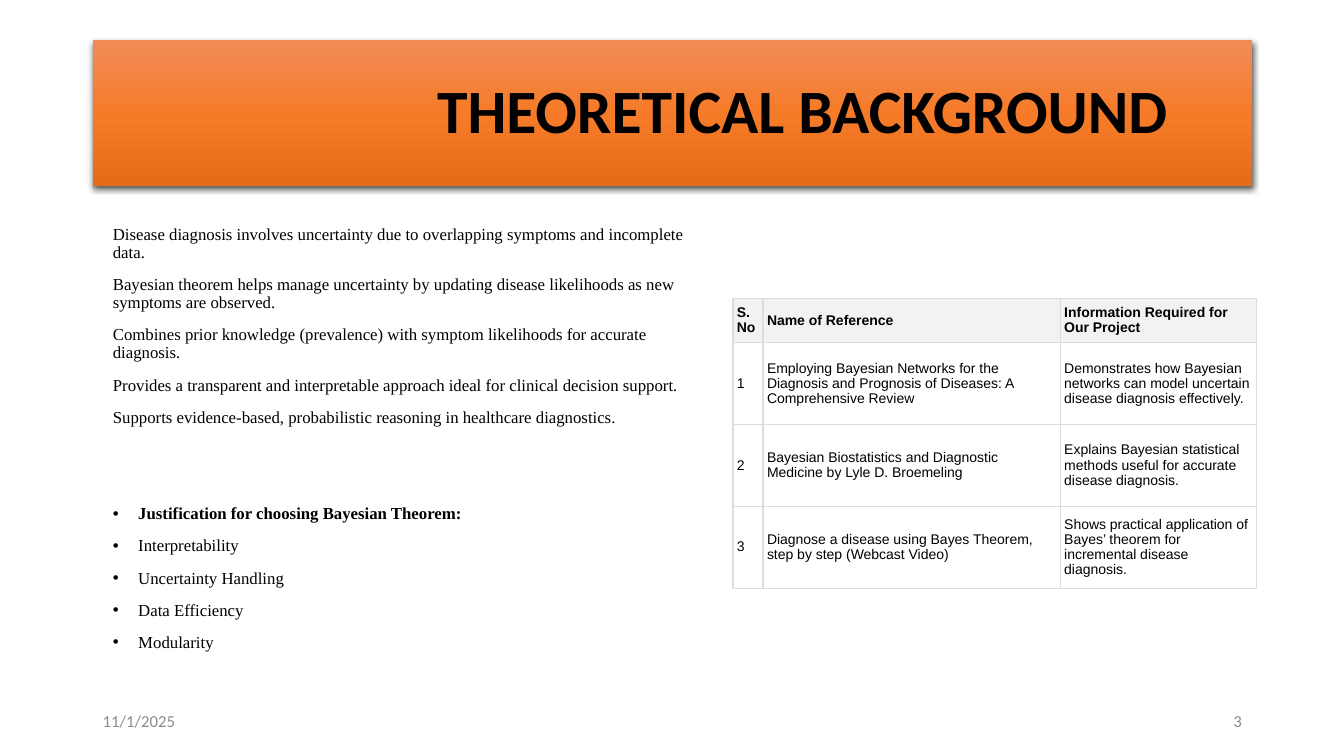
from dataclasses import dataclass

from lxml import etree
from pptx import Presentation
from pptx.dml.color import RGBColor
from pptx.enum.text import MSO_ANCHOR, MSO_AUTO_SIZE, PP_ALIGN
from pptx.oxml import parse_xml
from pptx.oxml.ns import nsdecls, qn
from pptx.util import Cm, Pt

LEFT, RIGHT = PP_ALIGN.LEFT, PP_ALIGN.RIGHT
MIDDLE, TOP = MSO_ANCHOR.MIDDLE, MSO_ANCHOR.TOP
NO_AUTOFIT = MSO_AUTO_SIZE.NONE
BLACK, GREY, HEADER_FILL, BORDER = "000000", "8C8C8C", "F2F2F2", "DDDDDD"
BANNER_STOPS = ((0, "F18C57"), (50, "F67B28"), (100, "E56C19"))


@dataclass(frozen=True)
class Box:
    left: float
    top: float
    width: float
    height: float

    def lengths(self):
        return Cm(self.left), Cm(self.top), Cm(self.width), Cm(self.height)


@dataclass(frozen=True)
class FooterItem:
    text: str
    left: float
    align: PP_ALIGN


TITLE_BOX = Box(2.34, 1.02, 29.21, 3.68)
BODY_BOX = Box(2.59, 5.56, 14.99, 12.09)
TABLE_BOX = Box(18.47, 7.52, 13.2, 7.3)

STATEMENTS = (
    "Disease diagnosis involves uncertainty due to overlapping symptoms and incomplete data.",
    "Bayesian theorem helps manage uncertainty by updating disease likelihoods as new "
    "symptoms are observed.",
    "Combines prior knowledge (prevalence) with symptom likelihoods for accurate diagnosis.",
    "Provides a transparent and interpretable approach ideal for clinical decision support.",
    "Supports evidence-based, probabilistic reasoning in healthcare diagnostics.",
)
JUSTIFICATION = "Justification for choosing Bayesian Theorem:"
REASONS = ("Interpretability", "Uncertainty Handling", "Data Efficiency", "Modularity")
FOOTER = (FooterItem("11/1/2025", 2.34, LEFT), FooterItem("3", 23.93, RIGHT))

CELL_MARGIN = 0.1
COLUMN_WIDTHS = (0.76, 7.49, 4.95)
ROW_HEIGHTS = (1.12, 2.06, 2.06, 2.06)
REFERENCES = (
    ("S.\nNo", "Name of Reference", "Information Required for Our Project"),
    ("1", "Employing Bayesian Networks for the Diagnosis and Prognosis of Diseases: "
          "A Comprehensive Review",
     "Demonstrates how Bayesian networks can model uncertain disease diagnosis effectively."),
    ("2", "Bayesian Biostatistics and Diagnostic Medicine by Lyle D. Broemeling",
     "Explains Bayesian statistical methods useful for accurate disease diagnosis."),
    ("3", "Diagnose a disease using Bayes Theorem, step by step (Webcast Video)",
     "Shows practical application of Bayes’ theorem for incremental disease diagnosis."),
)


def colour(value: str) -> RGBColor:
    return RGBColor.from_string(value)


def write(paragraph, text: str, *, size: float, font: str, color: str = BLACK,
          bold: bool = False, align: PP_ALIGN = LEFT, line=0.9,
          before: float = 0, after: float = 0) -> None:
    for index, part in enumerate(text.split("\n")):
        if index:
            paragraph.add_line_break()
        run = paragraph.add_run()
        run.text = part
        run.font.size = Pt(size)
        run.font.name = font
        run.font.bold = bold
        run.font.color.rgb = colour(color)
    paragraph.alignment = align
    paragraph.line_spacing = line
    paragraph.space_before = Pt(before)
    paragraph.space_after = Pt(after)


def set_indent(paragraph, left: float, hanging: float = 0, bullet: str = "") -> None:
    properties = paragraph._p.get_or_add_pPr()
    properties.set("marL", str(Cm(left)))
    properties.set("indent", str(-Cm(hanging)))
    if bullet:
        etree.SubElement(properties, qn("a:buFont")).set("typeface", "Arial")
        etree.SubElement(properties, qn("a:buChar")).set("char", bullet)
    else:
        etree.SubElement(properties, qn("a:buNone"))


def place(shape, box: Box, anchor: MSO_ANCHOR):
    shape.left, shape.top, shape.width, shape.height = box.lengths()
    frame = shape.text_frame
    frame.word_wrap = True
    frame.auto_size = NO_AUTOFIT
    frame.vertical_anchor = anchor
    return frame


def style_banner(shape) -> None:
    stops = "".join(f'<a:gs pos="{position * 1000}"><a:srgbClr val="{value}"/></a:gs>'
                    for position, value in BANNER_STOPS)
    properties = shape._element.spPr
    properties.append(parse_xml(
        f'<a:gradFill {nsdecls("a")} rotWithShape="1"><a:gsLst>{stops}</a:gsLst>'
        '<a:lin ang="5400000" scaled="0"/></a:gradFill>'))
    properties.append(parse_xml(
        f'<a:effectLst {nsdecls("a")}>'
        f'<a:outerShdw blurRad="{Pt(4.5)}" dist="{Pt(1.5)}" dir="5400000" rotWithShape="0">'
        '<a:srgbClr val="000000"><a:alpha val="63000"/></a:srgbClr>'
        '</a:outerShdw></a:effectLst>'))


def add_title(slide) -> None:
    title = slide.shapes.title
    paragraph = place(title, TITLE_BOX, MIDDLE).paragraphs[0]
    write(paragraph, "THEORETICAL BACKGROUND", size=44, font="Calibri", bold=True)
    set_indent(paragraph, 8.42)
    style_banner(title)


def add_body(slide) -> None:
    frame = place(slide.placeholders[1], BODY_BOX, TOP)
    for index, text in enumerate(STATEMENTS + (JUSTIFICATION,) + REASONS):
        paragraph = frame.add_paragraph() if index else frame.paragraphs[0]
        heading = text == JUSTIFICATION
        write(paragraph, text, size=12, font="Times New Roman", bold=heading,
              before=56 if heading else 10)
        if text in STATEMENTS:
            set_indent(paragraph, 0)
        else:
            set_indent(paragraph, 0.64, 0.64, "•")


def set_borders(cell) -> None:
    properties = cell._tc.get_or_add_tcPr()
    for side in ("lnL", "lnR", "lnT", "lnB"):
        properties.append(parse_xml(
            f'<a:{side} {nsdecls("a")} w="{Pt(1)}"><a:solidFill>'
            f'<a:srgbClr val="{BORDER}"/></a:solidFill></a:{side}>'))


def add_references(slide) -> None:
    table = slide.shapes.add_table(len(REFERENCES), len(COLUMN_WIDTHS),
                                   *TABLE_BOX.lengths()).table
    table.first_row = table.horz_banding = False
    for column, width in zip(table.columns, COLUMN_WIDTHS):
        column.width = Cm(width)
    for row_index, (row, height) in enumerate(zip(table.rows, ROW_HEIGHTS)):
        row.height = Cm(height)
        header = row_index == 0
        for cell, text in zip(row.cells, REFERENCES[row_index]):
            set_borders(cell)
            if header:
                cell.fill.solid()
                cell.fill.fore_color.rgb = colour(HEADER_FILL)
            else:
                cell.fill.background()
            cell.vertical_anchor = MIDDLE
            cell.margin_left = cell.margin_right = Cm(CELL_MARGIN)
            cell.margin_top = cell.margin_bottom = Cm(CELL_MARGIN)
            write(cell.text_frame.paragraphs[0], text, size=10, font="Arial",
                  bold=header, line=Pt(10.8), before=9 if header else 0)


def add_footer(slide) -> None:
    for item in FOOTER:
        box = Box(item.left, 17.65, 7.62, 1.02)
        shape = slide.shapes.add_textbox(*box.lengths())
        write(place(shape, box, MIDDLE).paragraphs[0], item.text, size=12,
              font="Calibri", color=GREY, align=item.align, line=1.0, after=6)


def main() -> None:
    presentation = Presentation()
    presentation.slide_width, presentation.slide_height = Cm(33.87), Cm(19.05)
    slide = presentation.slides.add_slide(presentation.slide_layouts[1])
    add_title(slide)
    add_body(slide)
    add_footer(slide)
    add_references(slide)
    presentation.save("out.pptx")


if __name__ == "__main__":
    main()
